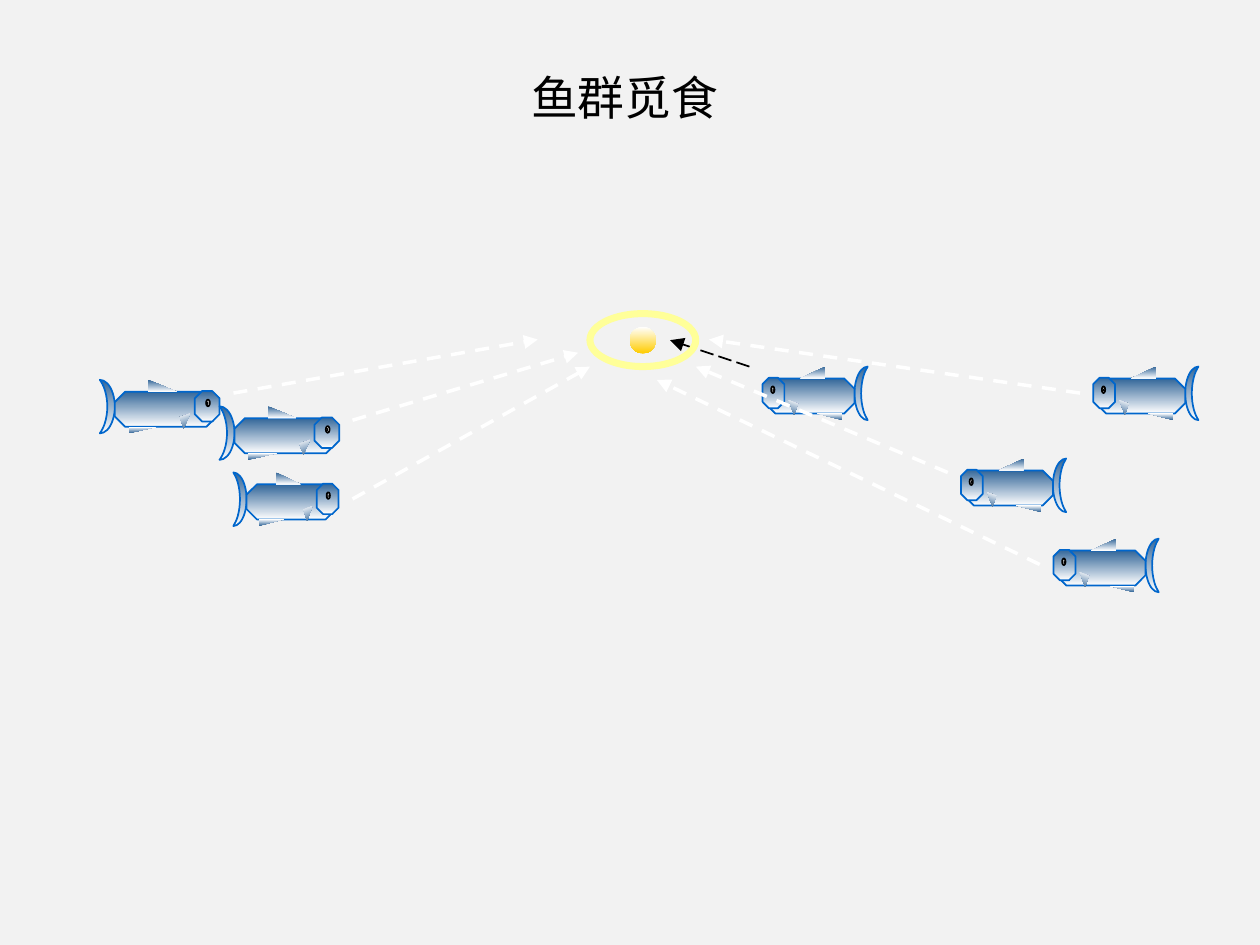
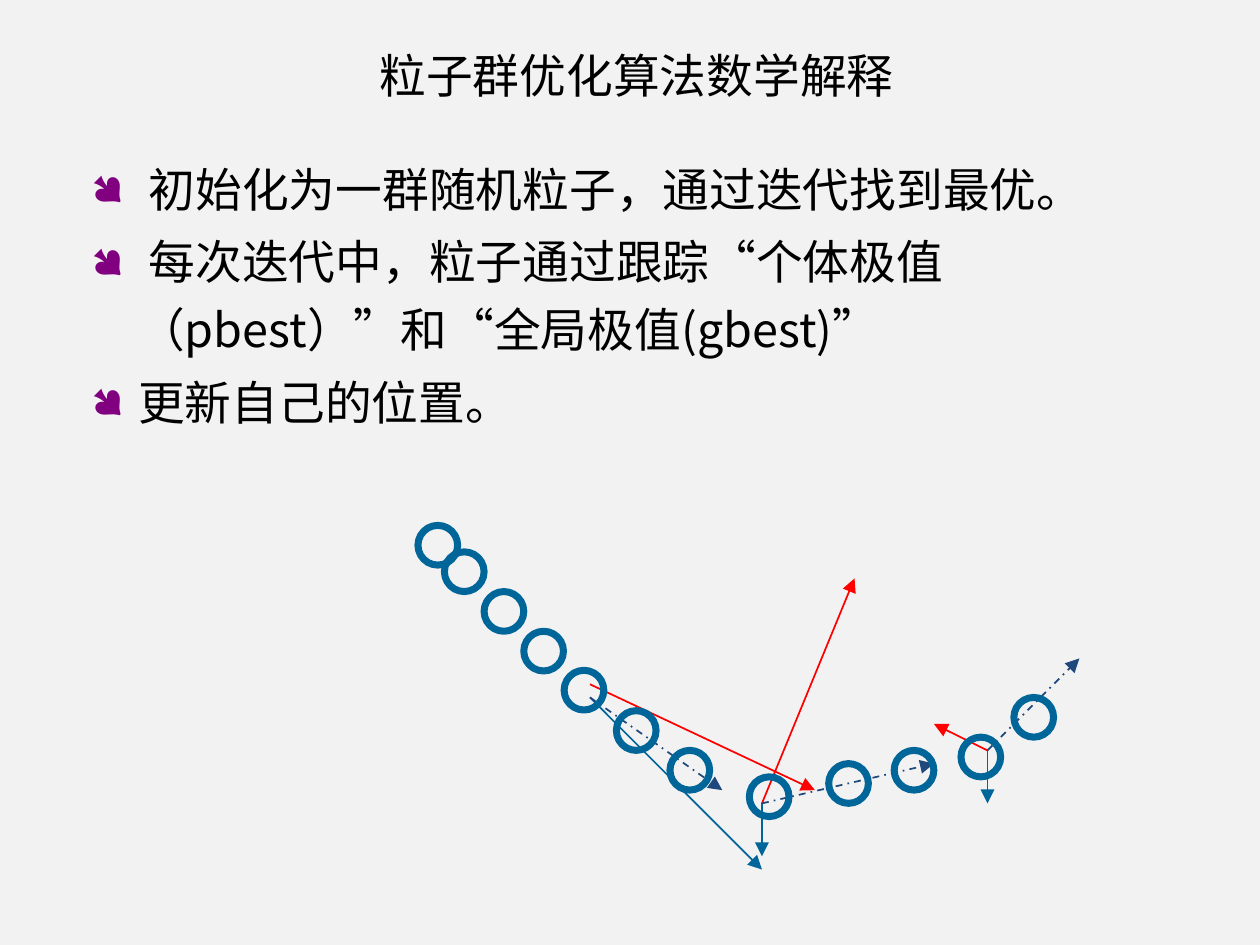
from dataclasses import dataclass
from typing import NamedTuple

from lxml import etree
from pptx import Presentation
from pptx.dml.color import RGBColor
from pptx.enum.dml import MSO_LINE
from pptx.enum.shapes import MSO_CONNECTOR, MSO_SHAPE
from pptx.enum.text import MSO_ANCHOR, MSO_AUTO_SIZE, PP_ALIGN
from pptx.oxml.ns import qn
from pptx.util import Cm, Pt

MOON, OCTAGON, RECT = MSO_SHAPE.MOON, MSO_SHAPE.OCTAGON, MSO_SHAPE.RECTANGLE
OVAL, WEDGE = MSO_SHAPE.OVAL, MSO_SHAPE.RIGHT_TRIANGLE
DASH, LONG, DOTTED = MSO_LINE.DASH, MSO_LINE.LONG_DASH, MSO_LINE.DASH_DOT
STRAIGHT = MSO_CONNECTOR.STRAIGHT
TOP, CENTER = MSO_ANCHOR.TOP, PP_ALIGN.CENTER
TITLE_ONLY = 5
WIDE, HIGH = 19.05, 14.28


@dataclass(frozen=True)
class Theme:
    back: str = "F2F2F2"
    ink: str = "000000"
    white: str = "FFFFFF"
    fin: str = "336699"
    edge: str = "0066CC"
    gold: str = "FFCC00"
    halo: str = "FFFF99"
    ring: str = "006699"
    red: str = "FF0000"
    navy: str = "1F497D"
    dot: str = "800080"
    font: str = "Noto Sans CJK KR"
    mark: str = "Wingdings"
    size: float = 20
    thin: float = 0.75
    mid: float = 1.5
    thick: float = 3


T = Theme()


class Box(NamedTuple):
    x: float
    y: float
    w: float
    h: float


class Point(NamedTuple):
    x: float
    y: float


class Part(NamedTuple):
    """A piece of a left-facing fish, in cm from the fish's top left."""
    kind: int
    box: Box
    fill: str | tuple[str, str]
    edge: str | None = None
    flip: str = ""
    turn: float = 0


class Fish(NamedTuple):
    x: float
    y: float
    right: bool = False
    scale: float = 1


class Arrow(NamedTuple):
    start: Point
    end: Point
    color: str
    width: float = T.thin
    dash: int | None = None


SHADE = (T.fin, T.white)
LENGTH = 1.59
PARTS = (
    Part(MOON, Box(1.39, 0, 0.2, 0.81), SHADE, T.edge),
    Part(OCTAGON, Box(0.04, 0.18, 1.35, 0.53), SHADE, T.edge),
    Part(OCTAGON, Box(0, 0.17, 0.33, 0.46), SHADE, T.edge),
    Part(OVAL, Box(0.13, 0.3, 0.05, 0.1), T.white, T.ink),
    Part(OVAL, Box(0.15, 0.33, 0.02, 0.05), T.ink),
    Part(WEDGE, Box(0.57, 0, 0.38, 0.18), SHADE, flip="h"),
    Part(WEDGE, Box(0.83, 0.71, 0.38, 0.1), SHADE, flip="hv"),
    Part(WEDGE, Box(0.36, 0.53, 0.15, 0.18), SHADE, flip="hv", turn=19.7),
)
SHOAL = (
    Fish(14.53, 6.93), Fish(16.53, 5.54), Fish(15.93, 8.14),
    Fish(1.51, 5.74, True, 1.14), Fish(3.53, 7.14, True),
    Fish(3.32, 6.14, True, 1.14),
)
LEADER = Fish(11.53, 5.54)
PATHS = (
    (Point(3.53, 5.94), Point(8.13, 5.13)),
    (Point(5.33, 6.35), Point(8.74, 5.33)),
    (Point(5.33, 7.54), Point(8.92, 5.54)),
    (Point(16.33, 5.94), Point(10.72, 5.13)),
    (Point(14.33, 7.14), Point(10.52, 5.54)),
    (Point(15.72, 8.53), Point(9.93, 5.74)),
)

RING = 0.6
EARLY = (Point(6.32, 7.94), Point(7.32, 8.94), Point(7.92, 9.54),
         Point(6.72, 8.34))
LATER = (Point(8.53, 10.13), Point(9.32, 10.74), Point(10.13, 11.34),
         Point(11.33, 11.74), Point(12.53, 11.54), Point(13.52, 11.34),
         Point(14.53, 11.14), Point(15.33, 10.54))
FIRST, SECOND, THIRD = Point(8.92, 10.54), Point(11.52, 12.14), Point(14.93, 11.34)
FORCES = (
    Arrow(FIRST, Point(11.52, 13.14), T.ring),
    Arrow(Point(8.92, 10.34), Point(12.32, 11.94), T.red),
    Arrow(SECOND, Point(11.52, 12.94), T.ring),
    Arrow(SECOND, Point(12.92, 8.74), T.red),
    Arrow(THIRD, Point(14.93, 12.14), T.ring),
    Arrow(THIRD, Point(14.12, 10.94), T.red),
    Arrow(FIRST, Point(10.92, 11.94), T.navy, dash=DOTTED),
    Arrow(SECOND, Point(14.12, 11.54), T.navy, dash=DOTTED),
    Arrow(THIRD, Point(16.32, 9.95), T.navy, dash=DOTTED),
)
POINTS = (
    " 初始化为一群随机粒子，通过迭代找到最优。",
    " 每次迭代中，粒子通过跟踪“个体极值（pbest）”和“全局极值(gbest)”",
    "更新自己的位置。",
)


def rgb(color: str) -> RGBColor:
    return RGBColor.from_string(color)


def place(shape, box: Box) -> None:
    shape.left, shape.top, shape.width, shape.height = map(Cm, box)


def paint(shape, fill: str | tuple[str, str] | None) -> None:
    """Fill with a colour, a top-to-bottom blend, or nothing."""
    if fill is None:
        shape.fill.background()
    elif isinstance(fill, str):
        shape.fill.solid()
        shape.fill.fore_color.rgb = rgb(fill)
    else:
        shape.fill.gradient()
        shape.fill.gradient_angle = 270
        for stop, color in zip(shape.fill.gradient_stops, fill):
            stop.color.rgb = rgb(color)


def draw(shapes, kind: int, box: Box, fill: str | tuple[str, str] | None,
         edge: str | None = None, width: float = T.thin):
    shape = shapes.add_shape(kind, *map(Cm, box))
    shape.shadow.inherit = False
    paint(shape, fill)
    if edge:
        shape.line.color.rgb = rgb(edge)
        shape.line.width = Pt(width)
    else:
        shape.line.fill.background()
    return shape


def swim(slide, fish: Fish) -> None:
    """Draw one fish as a group, mirrored when it faces right."""
    group = slide.shapes.add_group_shape()
    for part in PARTS:
        x, y, w, h = part.box
        flip, turn = set(part.flip), part.turn
        if fish.right:
            x, turn = LENGTH - x - w, -turn
            flip ^= {"h"}
        box = Box(fish.x + x * fish.scale, fish.y + y, w * fish.scale, h)
        shape = draw(group.shapes, part.kind, box, part.fill, part.edge)
        shape.rotation = turn
        for axis in flip:
            shape._element.spPr.xfrm.set("flip" + axis.upper(), "1")


def point(slide, arrow: Arrow) -> None:
    link = slide.shapes.add_connector(
        STRAIGHT, *map(Cm, (*arrow.start, *arrow.end)))
    link.line.color.rgb = rgb(arrow.color)
    link.line.width = Pt(arrow.width)
    if arrow.dash:
        link.line.dash_style = arrow.dash
    etree.SubElement(link.line._get_or_add_ln(), qn("a:tailEnd"), type="triangle")
    etree.SubElement(link._element.spPr, qn("a:effectLst"))


def write(para, text: str) -> None:
    run = para.add_run()
    run.text = text
    run.font.size = Pt(T.size)
    run.font.name = T.font
    run.font.color.rgb = rgb(T.ink)
    etree.SubElement(run._r.get_or_add_rPr(), qn("a:ea"), typeface=T.font)


def frame(shape, box: Box):
    """Place a text shape and return its frame, set to wrap from the top."""
    place(shape, box)
    text = shape.text_frame
    text.word_wrap = True
    text.auto_size = MSO_AUTO_SIZE.NONE
    text.vertical_anchor = TOP
    return text


def start(deck, title: str, box: Box):
    slide = deck.slides.add_slide(deck.slide_layouts[TITLE_ONLY])
    para = frame(slide.shapes.title, box).paragraphs[0]
    para.alignment = CENTER
    write(para, title)
    return slide


def bullet(para) -> None:
    props = para._p.get_or_add_pPr()
    props.set("marL", str(Cm(0.71)))
    props.set("indent", str(-Cm(0.71)))
    color = etree.SubElement(props, qn("a:buClr"))
    etree.SubElement(color, qn("a:srgbClr"), val=T.dot)
    etree.SubElement(props, qn("a:buSzPct"), val="90000")
    etree.SubElement(props, qn("a:buFont"), typeface=T.mark)
    etree.SubElement(props, qn("a:buChar"), char="●")


def feed(deck) -> None:
    slide = start(deck, "鱼群觅食", Box(1.33, 0.91, 16.23, 1.45))
    for fish in SHOAL:
        swim(slide, fish)
    draw(slide.shapes, OVAL, Box(9.52, 4.94, 0.4, 0.4), (T.white, T.gold))
    point(slide, Arrow(Point(11.33, 5.54), Point(10.13, 5.14), T.ink, dash=LONG))
    swim(slide, LEADER)
    draw(slide.shapes, OVAL, Box(8.92, 4.74, 1.6, 0.8), None, T.halo, T.thick)
    for begin, end in PATHS:
        point(slide, Arrow(begin, end, T.white, T.mid, DASH))


def explain(deck) -> None:
    slide = start(deck, "粒子群优化算法数学解释", Box(1.05, 0.58, 17.15, 1.57))
    box = Box(1.13, 2.13, 16.79, 5.21)
    text = frame(slide.shapes.add_textbox(*map(Cm, box)), box)
    for i, line in enumerate(POINTS):
        para = text.add_paragraph() if i else text.paragraphs[0]
        bullet(para)
        para.line_spacing = 1.2
        if i:
            para.space_before = Pt(2.4)
        write(para, line)
    rings(slide, EARLY)
    for arrow in FORCES:
        point(slide, arrow)
    rings(slide, LATER)


def rings(slide, spots: tuple[Point, ...]) -> None:
    for spot in spots:
        draw(slide.shapes, OVAL, Box(*spot, RING, RING), None, T.ring, T.thick)


def cover(deck) -> None:
    """Lay the shared backdrop on the master, behind everything else."""
    sheet = draw(deck.slides[0].shapes, RECT, Box(0, 0, WIDE, HIGH), T.back)
    deck.slide_master.shapes._spTree.insert(2, sheet._element)


def main() -> None:
    deck = Presentation()
    deck.slide_width, deck.slide_height = Cm(WIDE), Cm(HIGH)
    paint(deck.slide_master.background, T.white)
    feed(deck)
    explain(deck)
    cover(deck)
    deck.save("out.pptx")


if __name__ == "__main__":
    main()
